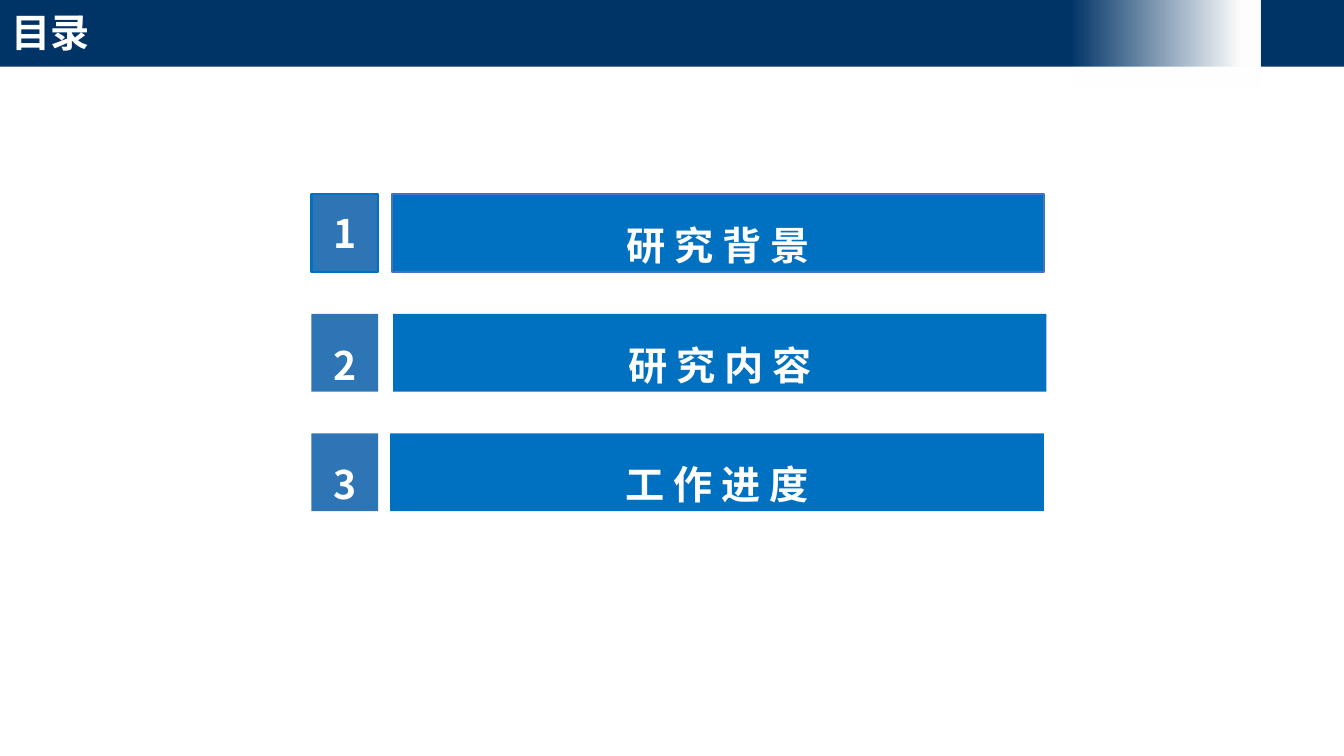
from lxml import etree
from pptx import Presentation
from pptx import util as u
from pptx.dml.color import RGBColor
from pptx.enum import shapes, text
from pptx.oxml import ns

COLORS = {
    "navy": "003366",
    "white": "FFFFFF",
    "bar": "0070C0",
    "number": "2E75B6",
    "bar_edge": "4472C4",
}
CJK_FONT = "Noto Sans CJK SC"

# Topic, bar left and bar width in cm
TOPICS = [
    ("研 究 背 景", 9.87, 16.44),
    ("研 究 内 容", 9.91, 16.46),
    ("工 作 进 度", 9.83, 16.48),
]
FIRST_TOP, ROW_STEP, ROW_HEIGHT = 4.9, 3.01, 1.96
NUMBER_LEFT, NUMBER_WIDTH = 7.85, 1.68


def color(name):
    return RGBColor.from_string(COLORS[name])


def write_text(frame, words, font=CJK_FONT, align=text.PP_ALIGN.CENTER,
               anchor=text.MSO_ANCHOR.MIDDLE, spacing=1.0):
    frame.word_wrap = True
    frame.vertical_anchor = anchor
    para = frame.paragraphs[0]
    para.alignment = align
    para.line_spacing = spacing
    span = para.add_run()
    span.text = words
    span.font.size = u.Pt(28)
    span.font.bold = True
    span.font.name = font
    span.font.color.rgb = color("white")
    # East Asian typeface
    latin = span.font._element.find(ns.qn("a:latin"))
    east_asian = etree.Element(ns.qn("a:ea"), typeface=CJK_FONT)
    latin.addnext(east_asian)


def add_box(page, left, top, width, height, fill, edge=None):
    box = page.shapes.add_shape(shapes.MSO_SHAPE.RECTANGLE, u.Cm(left),
                                u.Cm(top), u.Cm(width), u.Cm(height))
    box.shadow.inherit = False
    box.fill.solid()
    box.fill.fore_color.rgb = color(fill)
    if edge:
        box.line.color.rgb = color(edge)
        box.line.width = u.Pt(1.5)
    else:
        box.line.fill.background()
    return box


def fade_to_clear(box):
    """Fade the box from white at the right to transparent at the left."""
    box.fill.gradient()
    box.fill.gradient_angle = 180
    for stop, position in zip(box.fill.gradient_stops, (0.1, 1.0)):
        stop.color.rgb = color("white")
        stop.position = position
    clear = list(box.element.iter(ns.qn("a:srgbClr")))[-1]
    etree.SubElement(clear, ns.qn("a:alpha"), val="0")


def add_header(page, words):
    add_box(page, 0, -0.1, 33.87, 1.78, "navy")
    fade = add_box(page, 26.97, -0.13, 4.8, 2.39, "white")
    fade_to_clear(fade)
    title = page.shapes.title
    title.left, title.top = u.Cm(0.03), u.Cm(0.08)
    title.width, title.height = u.Cm(22.83), u.Cm(1.52)
    write_text(title.text_frame, words, align=text.PP_ALIGN.LEFT,
               anchor=text.MSO_ANCHOR.TOP)
    title.text_frame.auto_size = text.MSO_AUTO_SIZE.SHAPE_TO_FIT_TEXT
    # Bring the title in front of the band
    fade.element.addnext(title.element)


def add_topic(page, index, topic, left, width):
    top = FIRST_TOP + index * ROW_STEP
    first = index == 0
    bar = add_box(page, left, top, width, ROW_HEIGHT, "bar",
                  edge="bar_edge" if first else None)
    write_text(bar.text_frame, topic, font="Arial", spacing=1.5)
    number = add_box(page, NUMBER_LEFT, top, NUMBER_WIDTH, ROW_HEIGHT,
                     "number", edge="bar" if first else None)
    write_text(number.text_frame, str(index + 1),
               spacing=1.0 if first else 1.5)


def main():
    deck = Presentation()
    deck.slide_width, deck.slide_height = u.Cm(33.87), u.Cm(19.05)
    page = deck.slides.add_slide(deck.slide_layouts.get_by_name("Title Only"))

    # Header band with title
    add_header(page, "目录")

    # Numbered contents
    for index, (topic, left, width) in enumerate(TOPICS):
        add_topic(page, index, topic, left, width)

    deck.save("out.pptx")


if __name__ == "__main__":
    main()
